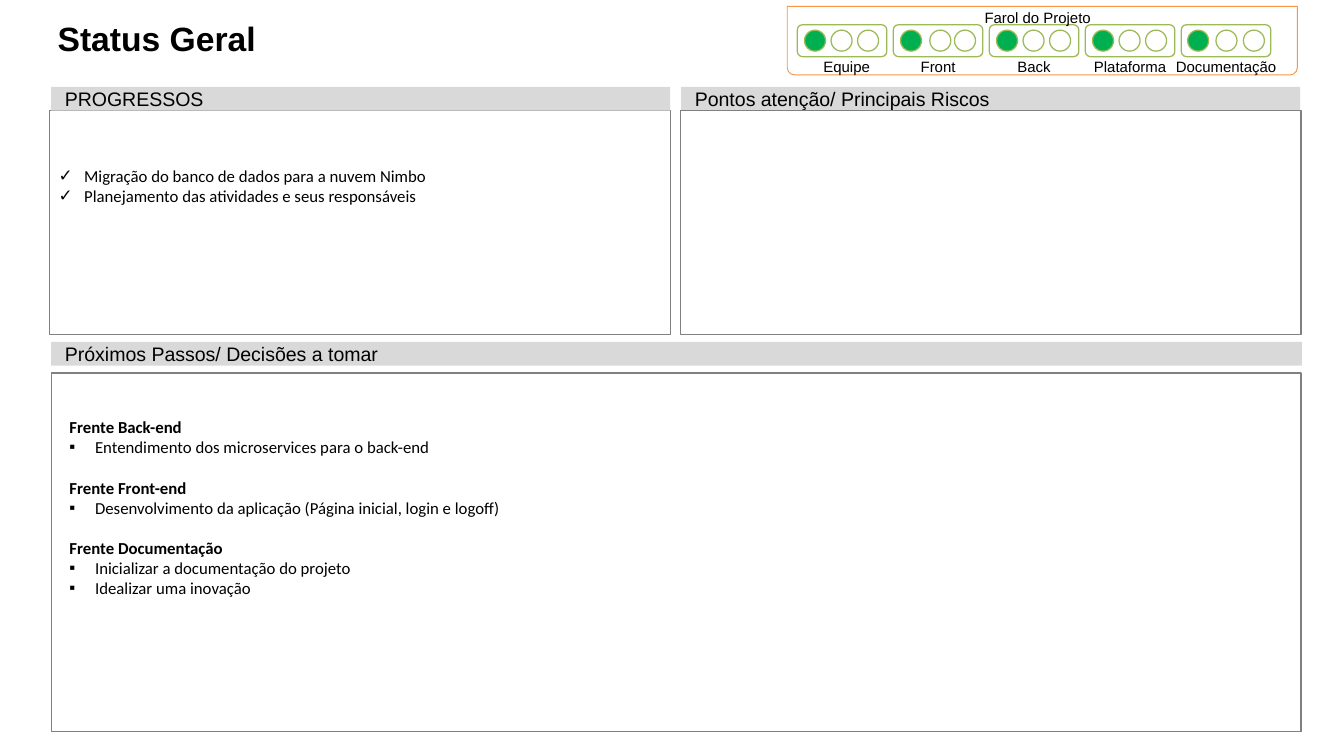
from lxml import etree
from pptx import Presentation
from pptx.dml.color import RGBColor
from pptx.enum.shapes import MSO_SHAPE
from pptx.enum.text import MSO_ANCHOR, MSO_AUTO_SIZE, PP_ALIGN
from pptx.oxml.ns import qn
from pptx.util import Inches, Pt

RECT, ROUND, OVAL = MSO_SHAPE.RECTANGLE, MSO_SHAPE.ROUNDED_RECTANGLE, MSO_SHAPE.OVAL
TABS = MSO_SHAPE.ROUND_2_SAME_RECTANGLE
TOP, MIDDLE, BOTTOM = MSO_ANCHOR.TOP, MSO_ANCHOR.MIDDLE, MSO_ANCHOR.BOTTOM
LEFT, CENTER = PP_ALIGN.LEFT, PP_ALIGN.CENTER
FIXED = MSO_AUTO_SIZE.NONE

BLACK = RGBColor(0x00, 0x00, 0x00)
WHITE = RGBColor(0xFF, 0xFF, 0xFF)
GRAY = RGBColor(0x80, 0x80, 0x80)
SILVER = RGBColor(0xD9, 0xD9, 0xD9)
ORANGE = RGBColor(0xF7, 0x96, 0x46)
LIME = RGBColor(0x9B, 0xBB, 0x59)
GREEN = RGBColor(0x00, 0xB0, 0x50)

# Card name, lamp offsets, label shift
EVEN = (0.08, 0.37, 0.66)
CARDS = [
    ("Equipe", EVEN, 0.05),
    ("Front", (0.08, 0.4, 0.67), 0),
    ("Back", EVEN, 0),
    ("Plataforma", EVEN, 0),
    ("Documentação", (0.07, 0.38, 0.68), 0),
]
DONE = [
    "Migração do banco de dados para a nuvem Nimbo",
    "Planejamento das atividades e seus responsáveis",
]
STEPS = [
    ("Frente Back-end", ["Entendimento dos microservices para o back-end"]),
    ("Frente Front-end",
     ["Desenvolvimento da aplicação (Página inicial, login e logoff)"]),
    ("Frente Documentação",
     ["Inicializar a documentação do projeto", "Idealizar uma inovação"]),
]


def write(para, text, size=13.2, font="Calibri", bold=False, align=LEFT,
          before=0, mark=None):
    """Fill one paragraph, with a hanging bullet when a mark is given."""
    para.alignment = align
    para.line_spacing = 1.0
    para.space_before = Pt(before)
    para.space_after = Pt(0)
    props = para._p.get_or_add_pPr()
    hang = Inches(0.28) if mark else 0
    props.set("marL", str(hang))
    props.set("indent", str(-hang))
    if mark:
        etree.SubElement(props, qn("a:buFont")).set("typeface", "Arial")
        etree.SubElement(props, qn("a:buChar")).set("char", mark)
    else:
        etree.SubElement(props, qn("a:buNone"))
    run = para.add_run()
    run.text = text
    run.font.size = Pt(size)
    run.font.name = font
    run.font.bold = bold
    run.font.color.rgb = BLACK


class Board:
    head = "Arial"

    def __init__(self, deck):
        self.slide = deck.slides.add_slide(deck.slide_layouts[3])
        self.title, self.done, self.steps = self.slide.placeholders

    def place(self, item, x, y, w, h):
        item.left, item.top = Inches(x), Inches(y)
        item.width, item.height = Inches(w), Inches(h)

    def frame(self, item, anchor=TOP, side=0.1, top=0.0, wrap=True):
        area = item.text_frame
        area.auto_size = FIXED
        area.word_wrap = wrap
        area.vertical_anchor = anchor
        area.margin_left = area.margin_right = Inches(side)
        area.margin_top, area.margin_bottom = Inches(top), 0
        return area

    def shape(self, kind, x, y, w, h, fill=None, line=None, width=1):
        item = self.slide.shapes.add_shape(
            kind, Inches(x), Inches(y), Inches(w), Inches(h))
        item.shadow.inherit = False
        if fill is None:
            item.fill.background()
        else:
            item.fill.solid()
            item.fill.fore_color.rgb = fill
        if line is None:
            item.line.fill.background()
        else:
            item.line.color.rgb = line
            item.line.width = Pt(width)
        return item

    def bar(self, text, x, y, w):
        item = self.shape(RECT, x, y, w, 0.26, fill=SILVER)
        area = self.frame(item, MIDDLE, side=0.15)
        write(area.paragraphs[0], text, size=15.4, font=self.head)

    def label(self, text, x, y):
        item = self.slide.shapes.add_textbox(
            Inches(x), Inches(y), Inches(0.98), Inches(0.2))
        area = self.frame(item, BOTTOM, side=0.06, top=0.06, wrap=False)
        write(area.paragraphs[0], text, size=11.8, font=self.head, align=CENTER)

    def card(self, name, spots, shift, x):
        self.shape(ROUND, x, 0.27, 0.98, 0.35, fill=WHITE, line=LIME)
        for n, spot in enumerate(spots):
            self.shape(OVAL, x + spot, 0.33, 0.23, 0.23,
                       fill=WHITE if n else GREEN, line=LIME)
        self.label(name, x + shift, 0.63)

    def heading(self, text, *spot):
        self.place(self.title, *spot)
        area = self.frame(self.title, side=0.12)
        write(area.paragraphs[0], text, size=26.5, font=self.head, bold=True)

    def list(self, item, rows, spot, top):
        """Rows are pairs of text and paragraph format."""
        self.place(item, *spot)
        area = self.frame(item, top=top)
        for n, (text, style) in enumerate(rows):
            para = area.add_paragraph() if n else area.paragraphs[0]
            write(para, text, **style)


def main():
    deck = Presentation()
    deck.slide_width, deck.slide_height = Inches(14.7), Inches(8.27)
    board = Board(deck)
    board.heading("Status Geral", 0.51, 0.2, 8, 0.7)

    # Project lights
    panel = board.shape(TABS, 8.61, 0.07, 5.58, 0.75, line=ORANGE, width=0.75)
    panel.rotation = 180
    panel.adjustments[0], panel.adjustments[1] = 0.11, 0
    for n, (name, spots, shift) in enumerate(CARDS):
        board.card(name, spots, shift, 8.72 + 1.05 * n)
    board.label("Farol do Projeto", 10.86, 0.09)

    # Section bars and frames
    board.bar("PROGRESSOS", 0.56, 0.95, 6.77)
    board.bar("Pontos atenção/ Principais Riscos", 7.45, 0.95, 6.77)
    board.bar("Próximos Passos/ Decisões a tomar", 0.56, 3.74, 13.68)
    board.shape(RECT, 7.44, 1.21, 6.79, 2.45, line=GRAY)
    board.shape(RECT, 0.56, 4.08, 13.67, 3.92, line=GRAY)

    # Progress list
    rows = [(text, {"mark": "✓"}) for text in DONE]
    board.list(board.done, rows, (0.54, 1.21, 6.79, 2.45), top=0.6)
    board.done.line.color.rgb = GRAY
    board.done.line.width = Pt(1)

    # Next steps
    rows = []
    for front, tasks in STEPS:
        rows.append((front, {"bold": True, "before": 16 if rows else 0}))
        rows += [(task, {"mark": "▪"}) for task in tasks]
    board.list(board.steps, rows, (0.66, 4.51, 6, 2.45), top=0.05)

    deck.save("out.pptx")


if __name__ == "__main__":
    main()
